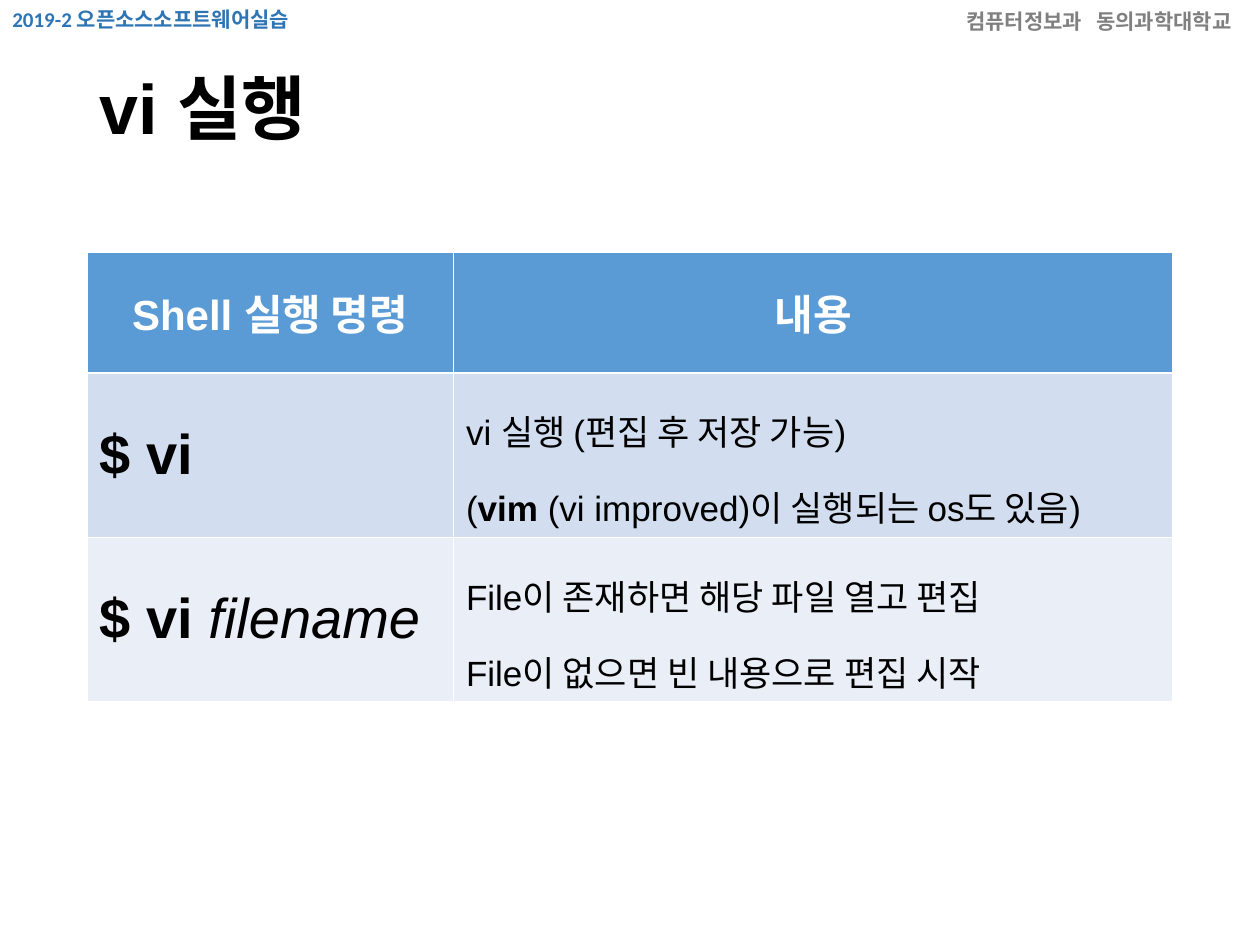
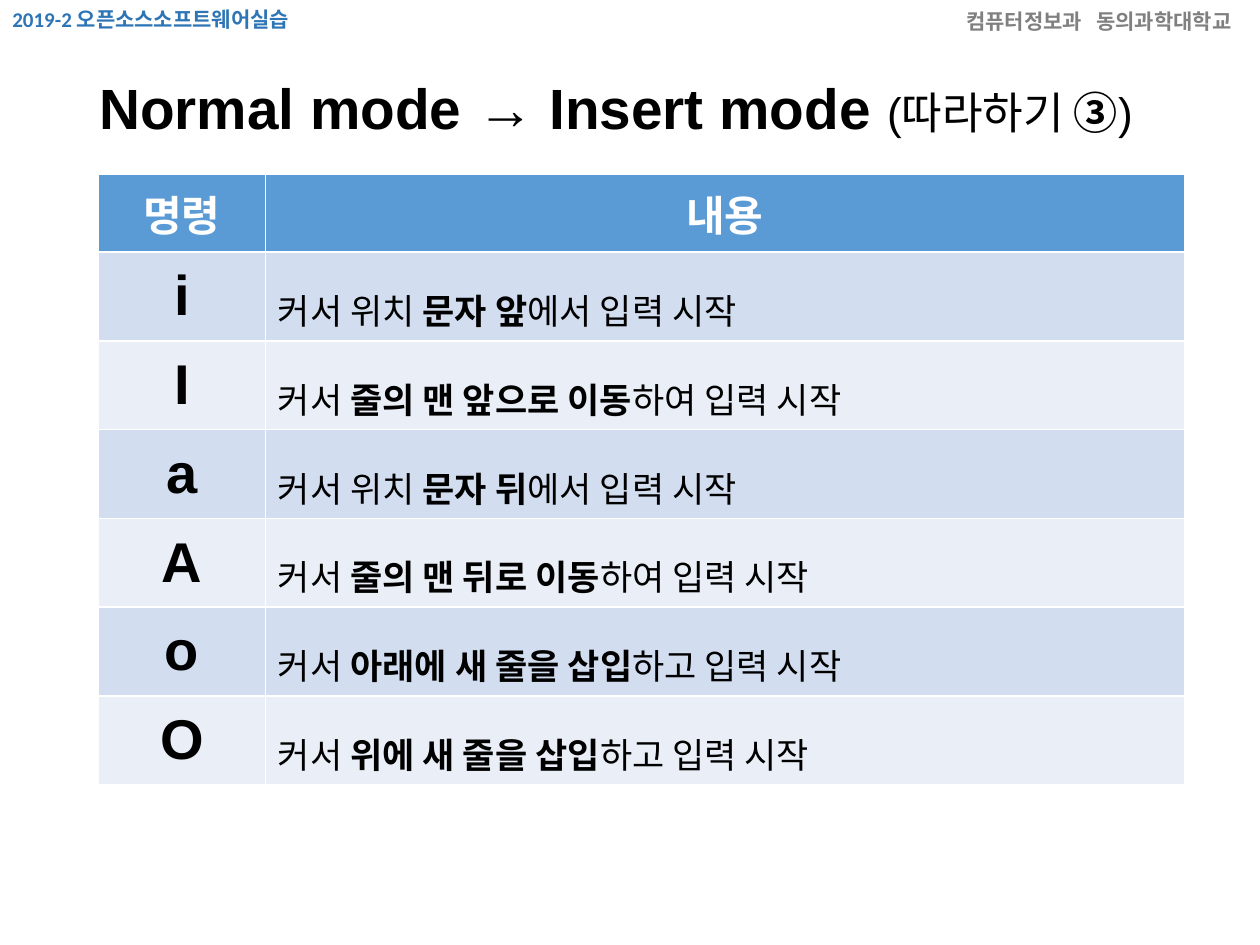
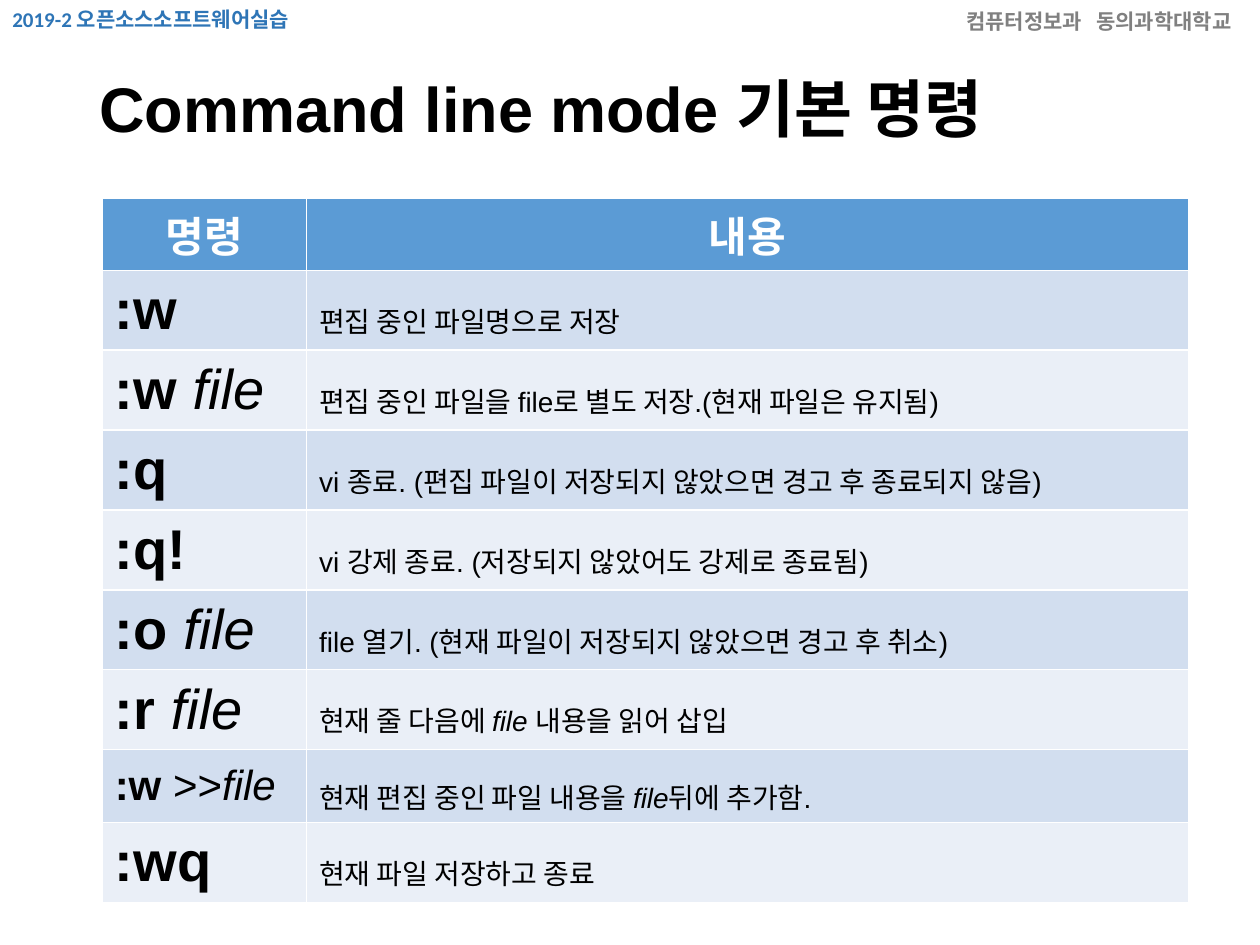
"""Build three slides on running vi and its basic commands."""
from dataclasses import dataclass
from typing import Optional

from pptx import Presentation
from pptx.dml.color import RGBColor
from pptx.enum.text import MSO_ANCHOR, MSO_AUTO_SIZE, PP_ALIGN
from pptx.util import Cm, Pt

LEFT, CENTER = PP_ALIGN.LEFT, PP_ALIGN.CENTER
MIDDLE = MSO_ANCHOR.MIDDLE
NO_FIT, GROW = MSO_AUTO_SIZE.NONE, MSO_AUTO_SIZE.SHAPE_TO_FIT_TEXT
TITLE_ONLY = 5
TABLE_WIDTH = 21.9


@dataclass(frozen=True)
class Theme:
    body_font: str = "Arial"
    band_font: str = "Calibri"
    text: str = "000000"
    header_text: str = "FFFFFF"
    header_fill: str = "5B9BD5"
    row_fills: tuple[str, str] = ("D2DEEF", "EAEFF7")
    course: str = "2E75B6"
    school: str = "808080"
    band_size: float = 12
    header_size: float = 24
    command_size: float = 32
    long_command_size: float = 24
    title_note_size: float = 25.2


THEME = Theme()


@dataclass(frozen=True)
class Span:
    text: str
    bold: Optional[bool] = None
    italic: Optional[bool] = None
    size: Optional[float] = None


@dataclass(frozen=True)
class Style:
    size: float
    color: str = THEME.text
    bold: bool = False
    align: PP_ALIGN = LEFT
    line_spacing: Optional[float] = None
    font: str = THEME.body_font


@dataclass(frozen=True)
class Band:
    text: str
    left: float
    top: float
    width: float
    color: str


Line = tuple[Span, ...]


@dataclass(frozen=True)
class Row:
    command: Line
    lines: tuple[Line, ...]
    height: float
    command_size: float = THEME.command_size


@dataclass(frozen=True)
class CommandSlide:
    title: Line
    title_size: float
    headings: tuple[str, str]
    left: float
    top: float
    command_width: float
    header_height: float
    rows: tuple[Row, ...]
    detail_size: float
    command_align: PP_ALIGN = LEFT


BREAK = Span("\n")
BANDS = (
    Band("2019-2 오픈소스소프트웨어실습", 0, 0, 6.53, THEME.course),
    Band("컴퓨터정보과   동의과학대학교", 19.23, 0.05, 6.38, THEME.school),
)


def plain(text: str) -> Line:
    return (Span(text),)


def with_file(command: str, name: str = "file") -> Line:
    return Span(f"{command} "), Span(name, bold=False, italic=True)


def insert_row(command: str, before: str, key: str, after: str) -> Row:
    return Row(plain(command), ((Span(before), Span(key, bold=True), Span(after)),), 1.79)


def command_row(command: Line, detail: Line) -> Row:
    return Row(command, (detail,), 1.52)


SLIDES = (
    CommandSlide(
        title=plain("vi 실행"),
        title_size=40,
        headings=("Shell 실행 명령", "내용"),
        left=1.75, top=5.08, command_width=7.39, header_height=2.44,
        detail_size=20,
        rows=(
            Row(plain("$ vi"), ((
                Span("vi 실행 (편집 후 저장 가능)"), BREAK, Span("("),
                Span("vim", bold=True), Span(" (vi improved)이 실행되는 os도 있음)"),
            ),), 3.32),
            Row(with_file("$ vi", "filename"), (
                plain("File이 존재하면 해당 파일 열고 편집"),
                plain("File이 없으면 빈 내용으로 편집 시작"),
            ), 3.3),
        ),
    ),
    CommandSlide(
        title=(
            Span("Normal mode → Insert mode "),
            Span("(따라하기 ", bold=False, size=THEME.title_note_size),
            Span("③", size=THEME.title_note_size),
            Span(")", bold=False, size=THEME.title_note_size),
        ),
        title_size=32.4,
        headings=("명령", "내용"),
        left=1.98, top=3.51, command_width=3.37, header_height=1.57,
        detail_size=20,
        command_align=CENTER,
        rows=(
            insert_row("i", "커서 위치 ", "문자 앞", "에서 입력 시작"),
            insert_row("I", "커서 ", "줄의 맨 앞으로 이동", "하여 입력 시작"),
            insert_row("a", "커서 위치 ", "문자 뒤", "에서 입력 시작"),
            insert_row("A", "커서 ", "줄의 맨 뒤로 이동", "하여 입력 시작"),
            insert_row("o", "커서 ", "아래에 새 줄을 삽입", "하고 입력 시작"),
            insert_row("O", "커서 ", "위에 새 줄을 삽입", "하고 입력 시작"),
        ),
    ),
    CommandSlide(
        title=plain("Command line mode 기본 명령"),
        title_size=36,
        headings=("명령", "내용"),
        left=2.06, top=3.99, command_width=4.12, header_height=1.46,
        detail_size=16,
        rows=(
            command_row(plain(":w"), plain("편집 중인 파일명으로 저장")),
            command_row(with_file(":w"),
                        plain("편집 중인 파일을 file로 별도 저장.(현재 파일은 유지됨)")),
            command_row(plain(":q"),
                        plain("vi 종료. (편집 파일이 저장되지 않았으면 경고 후 종료되지 않음)")),
            command_row(plain(":q!"),
                        plain("vi 강제 종료. (저장되지 않았어도 강제로 종료됨)")),
            command_row(with_file(":o"),
                        plain("file 열기. (현재 파일이 저장되지 않았으면 경고 후 취소)")),
            command_row(with_file(":r"), (
                Span("현재 줄 다음에 "), Span("file", italic=True), Span(" 내용을 읽어 삽입"))),
            Row((Span(":w "), Span(">>", bold=False), Span("file", bold=False, italic=True)),
                ((Span("현재 편집 중인 파일 내용을 "), Span("file", italic=True),
                  Span("뒤에 추가함.")),),
                1.47, THEME.long_command_size),
            command_row(plain(":wq"), plain("현재 파일 저장하고 종료")),
        ),
    ),
)


def write_lines(text_frame, lines: tuple[Line, ...], style: Style) -> None:
    """Write each line as one paragraph, with spans overriding its style."""
    for index, line in enumerate(lines):
        paragraph = text_frame.add_paragraph() if index else text_frame.paragraphs[0]
        paragraph.alignment = style.align
        paragraph.line_spacing = style.line_spacing
        paragraph.font.name = style.font
        paragraph.font.size = Pt(style.size)
        paragraph.font.bold = style.bold
        paragraph.font.color.rgb = RGBColor.from_string(style.color)
        for span in line:
            if span is BREAK:
                paragraph.add_line_break()
                continue
            run = paragraph.add_run()
            run.text = span.text
            run.font.bold = span.bold
            run.font.italic = span.italic
            if span.size:
                run.font.size = Pt(span.size)


def draw_band(slide, band: Band) -> None:
    shape = slide.shapes.add_textbox(Cm(band.left), Cm(band.top), Cm(band.width), Cm(0.77))
    shape.text_frame.word_wrap = False
    shape.text_frame.auto_size = GROW
    style = Style(THEME.band_size, band.color, bold=True, font=THEME.band_font)
    write_lines(shape.text_frame, (plain(band.text),), style)


def draw_title(slide, content: CommandSlide) -> None:
    title = slide.shapes.title
    title.left, title.top, title.width, title.height = Cm(1.75), Cm(1.01), Cm(21.9), Cm(2.48)
    title.text_frame.vertical_anchor = MIDDLE
    title.text_frame.auto_size = NO_FIT
    style = Style(content.title_size, bold=True, line_spacing=0.9)
    write_lines(title.text_frame, (content.title,), style)


def fill_cell(cell, lines: tuple[Line, ...], style: Style, fill: str) -> None:
    cell.fill.solid()
    cell.fill.fore_color.rgb = RGBColor.from_string(fill)
    cell.vertical_anchor = MIDDLE
    write_lines(cell.text_frame, lines, style)


def draw_table(slide, content: CommandSlide) -> None:
    heights = [content.header_height, *(row.height for row in content.rows)]
    table = slide.shapes.add_table(
        len(heights), 2, Cm(content.left), Cm(content.top),
        Cm(TABLE_WIDTH), Cm(sum(heights))).table
    table.columns[0].width = Cm(content.command_width)
    table.columns[1].width = Cm(TABLE_WIDTH - content.command_width)
    for table_row, height in zip(table.rows, heights):
        table_row.height = Cm(height)

    heading_style = Style(THEME.header_size, THEME.header_text, bold=True, align=CENTER)
    for column, heading in enumerate(content.headings):
        fill_cell(table.cell(0, column), (plain(heading),), heading_style, THEME.header_fill)

    detail_style = Style(content.detail_size, line_spacing=1.5)
    for index, row in enumerate(content.rows):
        fill = THEME.row_fills[index % 2]
        command_style = Style(row.command_size, bold=True, align=content.command_align)
        fill_cell(table.cell(index + 1, 0), (row.command,), command_style, fill)
        fill_cell(table.cell(index + 1, 1), row.lines, detail_style, fill)


def main() -> None:
    presentation = Presentation()
    presentation.slide_width, presentation.slide_height = Cm(25.4), Cm(19.05)
    for content in SLIDES:
        slide = presentation.slides.add_slide(presentation.slide_layouts[TITLE_ONLY])
        for band in BANDS:
            draw_band(slide, band)
        draw_title(slide, content)
        draw_table(slide, content)
    presentation.save("out.pptx")


if __name__ == "__main__":
    main()
